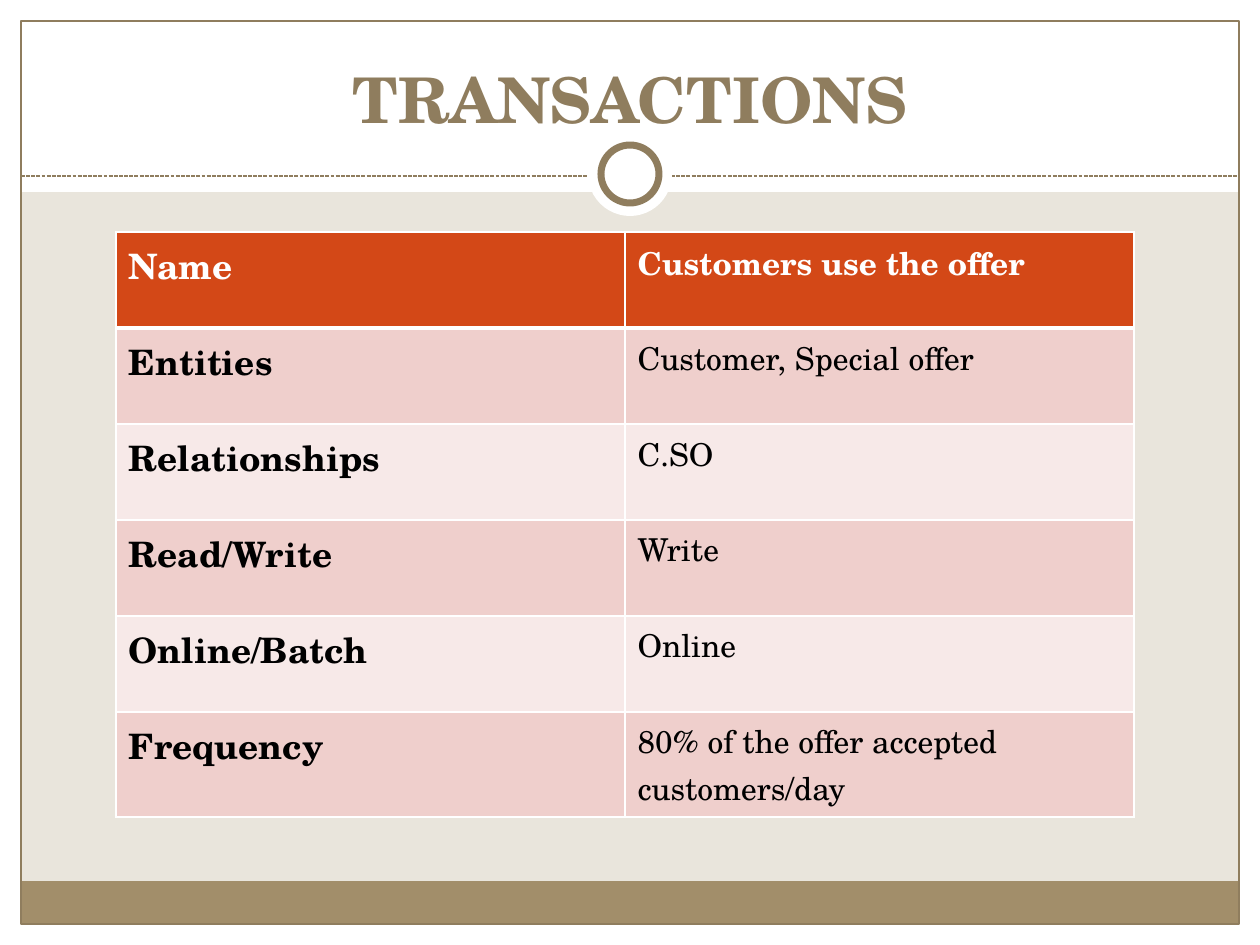
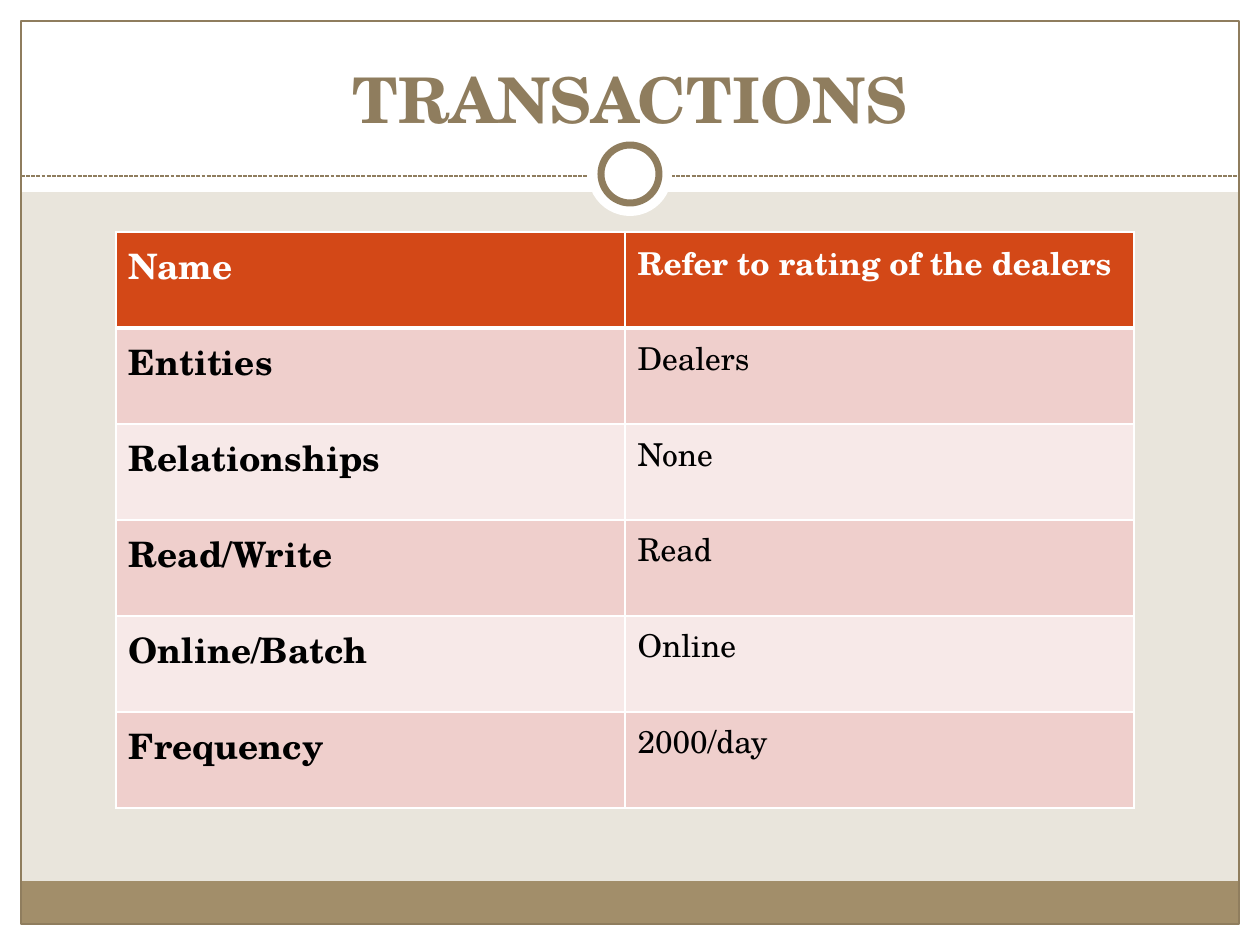
import pptx
import pptx.util
import pptx.dml.color
import pptx.enum.dml
import pptx.enum.shapes
import pptx.enum.text
import pptx.oxml
import pptx.oxml.ns

RGB = pptx.dml.color.RGBColor
SHAPE = pptx.enum.shapes.MSO_SHAPE

WHITE = RGB(0xFF, 0xFF, 0xFF)
BLACK = RGB(0x00, 0x00, 0x00)
SAND = RGB(0xE9, 0xE5, 0xDC)
TAN = RGB(0xA2, 0x8E, 0x6A)
BROWN = RGB(0x8F, 0x7D, 0x5E)
ORANGE = RGB(0xD3, 0x48, 0x17)
ROSE = RGB(0xEF, 0xCF, 0xCC)
PALE_ROSE = RGB(0xF7, 0xE9, 0xE8)

FONT = "TeX Gyre Schola"
EMU_PER_PIXEL = 914400 / 126
WIDTH, HEIGHT, MARGIN = 1260, 945, 21
TITLE_ONLY = 5

FIELDS = ["Name", "Entities", "Relationships", "Read/Write", "Online/Batch", "Frequency"]
TRANSACTIONS = [
    ["Customers use the offer", "Customer, Special offer", "C.SO", "Write", "Online",
     "80% of the offer accepted customers/day"],
    ["Refer to rating of the dealers", "Dealers", "None", "Read", "Online", "2000/day"],
]


def px(*lengths):
    """Turn whole pixels into EMU lengths."""
    return [pptx.util.Emu(round(length * EMU_PER_PIXEL)) for length in lengths]


def apply(target, settings):
    """Set each attribute named in settings on target."""
    for attribute, setting in settings.items():
        setattr(target, attribute, setting)


class Deck:
    """Holds the presentation, its style and the current slide."""

    def __init__(self):
        """Start a deck with an undecorated title layout."""
        self.presentation = pptx.Presentation()
        slide_width, slide_height = px(WIDTH, HEIGHT)
        apply(self.presentation, {"slide_width": slide_width, "slide_height": slide_height})
        self.layout = self.presentation.slide_layouts[TITLE_ONLY]
        self.slide = None

    def add_slide(self):
        """Begin a new slide; the first one also sets up the shared layout."""
        first = self.slide is None
        self.slide = self.presentation.slides.add_slide(self.layout)
        if first:
            self.decorate_layout()

    def decorate_layout(self):
        """Draw the bands, frame and ring once and hand them to the layout."""
        for placeholder in list(self.layout.placeholders):
            if placeholder.placeholder_format.idx != 0:
                self.layout.shapes.element.remove(placeholder.element)
        backdrop = self.layout.background.fill
        backdrop.solid()
        backdrop.fore_color.rgb = SAND
        inner_width, inner_height = WIDTH - 2 * MARGIN, HEIGHT - 2 * MARGIN
        for band in [(0, HEIGHT - MARGIN, WIDTH, MARGIN), (0, 0, WIDTH, 192),
                     (0, 0, MARGIN, HEIGHT), (WIDTH - MARGIN, 0, MARGIN, HEIGHT)]:
            self.shape(SHAPE.RECTANGLE, band, WHITE)
        self.shape(SHAPE.RECTANGLE, (MARGIN, 881, inner_width, 43), TAN)
        self.shape(SHAPE.RECTANGLE, (MARGIN, MARGIN, inner_width, inner_height),
                   line=BROWN, weight=0.75)
        self.dashed_rule(MARGIN, WIDTH - MARGIN, 176)
        self.shape(SHAPE.OVAL, (588, 132, 84, 84), WHITE)
        self.shape(SHAPE.OVAL, (601, 145, 58, 58), WHITE, BROWN, 4)
        for decoration in list(self.slide.shapes):
            if not decoration.is_placeholder:
                self.layout.shapes.element.append(decoration.element)

    def shape(self, preset, box, fill=None, line=None, weight=0):
        """Add a preset shape with an optional fill and outline."""
        shape = self.slide.shapes.add_shape(preset, *px(*box))
        shape.shadow.inherit = False
        if fill is None:
            shape.fill.background()
        else:
            shape.fill.solid()
            shape.fill.fore_color.rgb = fill
        if line is None:
            shape.line.fill.background()
        else:
            shape.line.color.rgb = line
            shape.line.width = pptx.util.Pt(weight)

    def dashed_rule(self, left, right, y):
        """Add a thin dashed horizontal line."""
        rule = self.slide.shapes.add_connector(
            pptx.enum.shapes.MSO_CONNECTOR.STRAIGHT, *px(left, y, right, y))
        rule.line.color.rgb = BROWN
        apply(rule.line, {"width": pptx.util.Pt(0.75),
                          "dash_style": pptx.enum.dml.MSO_LINE.SQUARE_DOT})
        rule.element.spPr.append(pptx.oxml.parse_xml(
            f"<a:effectLst {pptx.oxml.ns.nsdecls('a')}/>"))

    def add_text(self, paragraph, text, size, color, bold):
        """Add one formatted run to a paragraph."""
        run = paragraph.add_run()
        run.text = text
        apply(run.font, {"name": FONT, "size": pptx.util.Pt(size), "bold": bold})
        run.font.color.rgb = color

    def title(self, text):
        """Fill the title placeholder."""
        heading = self.slide.shapes.title
        left, top, width, height = px(42, 32, 1176, 104)
        apply(heading, {"left": left, "top": top, "width": width, "height": height})
        apply(heading.text_frame, {
            "vertical_anchor": pptx.enum.text.MSO_ANCHOR.BOTTOM, "margin_bottom": 0,
            "auto_size": pptx.enum.text.MSO_AUTO_SIZE.NONE, "word_wrap": True})
        paragraph = heading.text_frame.paragraphs[0]
        paragraph.alignment = pptx.enum.text.PP_ALIGN.CENTER
        self.add_text(paragraph, text, 36, BROWN, True)

    def borders(self, cell, weights):
        """Give a cell white borders, with a weight in points for each side."""
        properties = cell._tc.get_or_add_tcPr()
        for position, (side, weight) in enumerate(weights.items()):
            properties.insert(position, pptx.oxml.parse_xml(
                f"<a:ln{side} {pptx.oxml.ns.nsdecls('a')} w='{pptx.util.Pt(weight)}'>"
                f"<a:solidFill><a:srgbClr val='{WHITE}'/></a:solidFill></a:ln{side}>"))

    def table(self, records):
        """Add a two-column table with a header row and banded rows."""
        row_height, column_width = 96, 509
        box = px(116, 232, 2 * column_width, row_height * len(records))
        grid = self.slide.shapes.add_table(len(records), 2, *box).table
        for column in grid.columns:
            column.width = px(column_width)[0]
        for index, record in enumerate(records):
            header = index == 0
            grid.rows[index].height = px(row_height)[0]
            fill = ORANGE if header else (PALE_ROSE, ROSE)[index % 2]
            for column, text in enumerate(record):
                cell = grid.cell(index, column)
                cell.fill.solid()
                cell.fill.fore_color.rgb = fill
                self.borders(cell, {"L": 1, "R": 1, "T": 1, "B": 3 if header else 1})
                label = column == 0
                self.add_text(cell.text_frame.paragraphs[0], text, 20 if label else 18,
                              WHITE if header else BLACK, label or header)


deck = Deck()
for details in TRANSACTIONS:
    deck.add_slide()
    deck.title("TRANSACTIONS")
    deck.table(list(zip(FIELDS, details)))
deck.presentation.save("out.pptx")
